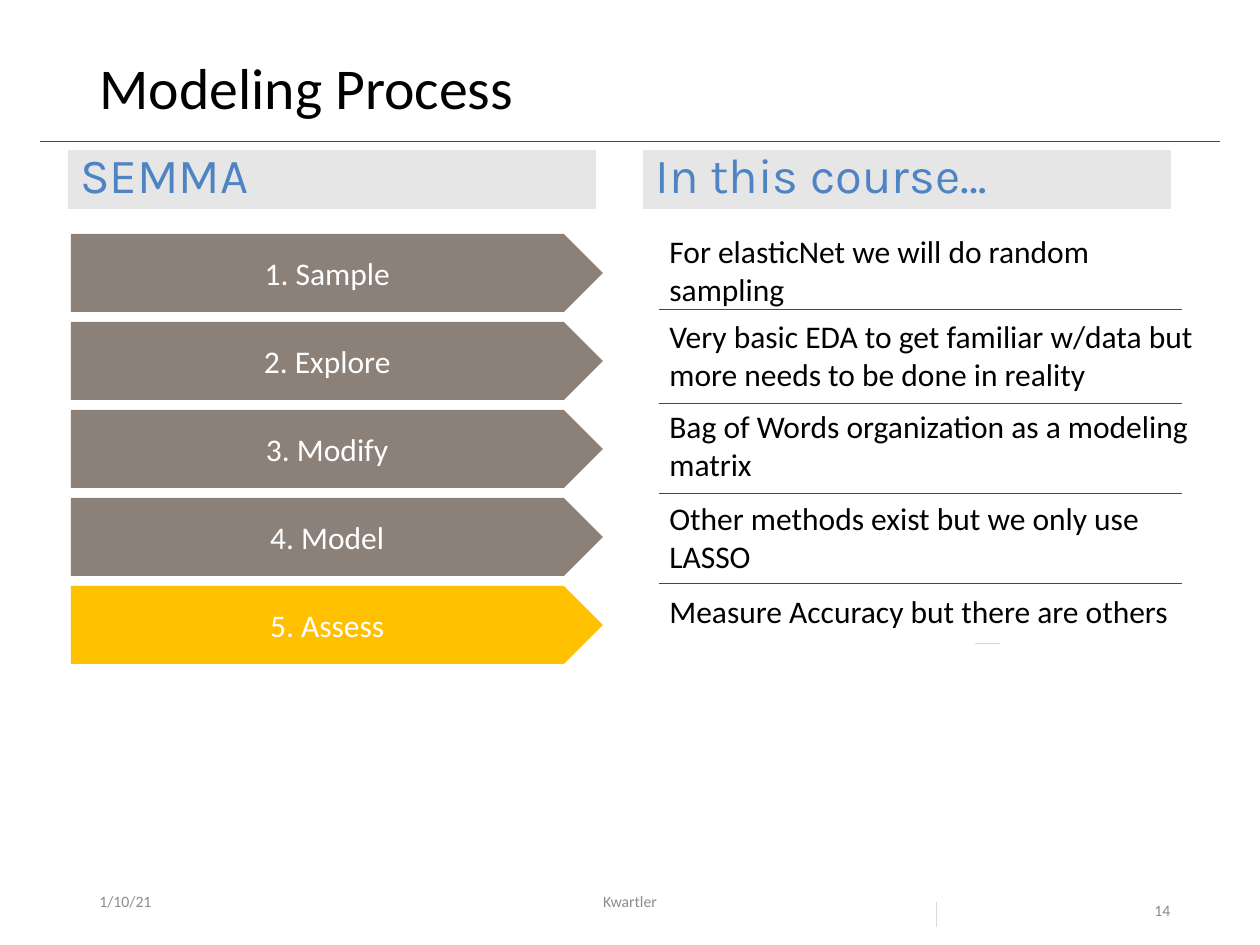
"""Build the Modeling Process slide: SEMMA steps beside the course notes."""
import pptx
import pptx.util
import pptx.dml.color
import pptx.enum.shapes
import pptx.enum.text
import pptx.oxml
import pptx.oxml.ns

PX = 914400 // 126
SHAPE = pptx.enum.shapes.MSO_SHAPE
ALIGN = pptx.enum.text.PP_ALIGN
ANCHOR = pptx.enum.text.MSO_ANCHOR
COLORS = {
    "black": "000000", "white": "FFFFFF", "grey": "8C8C8C", "taupe": "8C8179",
    "gold": "FFC000", "band": "E7E6E6", "blue": "4E84C4", "crimson": "A51C30",
    "pale": "D9D9D9",
}


def rgb(name):
    return pptx.dml.color.RGBColor.from_string(COLORS[name])


def write(sp, text, size, color, font="Calibri", align=ALIGN.LEFT, anchor=ANCHOR.TOP):
    tf = sp.text_frame
    tf.word_wrap = True
    tf.vertical_anchor = anchor
    tf.text = text
    p = tf.paragraphs[0]
    p.alignment = align
    p.font.size = pptx.util.Pt(size)
    p.font.name = font
    p.font.color.rgb = rgb(color)
    return p


prs = pptx.Presentation()
prs.slide_width = pptx.util.Inches(10)
prs.slide_height = pptx.util.Inches(7.5)
s = prs.slides.add_slide(prs.slide_layouts[5])

title = s.shapes.title
title.left, title.top, title.width, title.height = [v * PX for v in (87, 50, 1086, 82)]
p = write(title, "Modeling Process", 33, "black", anchor=ANCHOR.MIDDLE)
p.line_spacing = 0.9

lines = [
    (40, 141, 1220, 141, "crimson"),
    *[(659, y, 1182, y, "crimson") for y in (309, 404, 493, 583)],
    (936, 902, 936, 927, "pale"),
    (975, 643, 1000, 643, "pale"),
]
for x1, y1, x2, y2, color in lines:
    line = s.shapes.add_connector(
        pptx.enum.shapes.MSO_CONNECTOR.STRAIGHT, x1 * PX, y1 * PX, x2 * PX, y2 * PX)
    line.line.color.rgb = rgb(color)
    line.line.width = pptx.util.Pt(0.5)
    line._element.spPr.append(pptx.oxml.parse_xml(
        f'<a:effectLst {pptx.oxml.ns.nsdecls("a")}/>'))

blocks = [
    (SHAPE.RECTANGLE, x, 150, 528, 59, "band", text, 28, "blue", "Karla", ALIGN.LEFT, ANCHOR.MIDDLE)
    for x, text in ((68, "SEMMA"), (643, "In this course…"))
]
for i, step in enumerate(("Sample", "Explore", "Modify", "Model", "Assess")):
    fill = "gold" if step == "Assess" else "taupe"
    blocks.append((SHAPE.PENTAGON, 71, 234 + 88 * i, 532, 78, fill, f"{i + 1}. {step}",
                   18, "white", "Calibri", ALIGN.CENTER, ANCHOR.MIDDLE))
for kind, x, y, w, h, fill, text, size, color, font, align, anchor in blocks:
    sp = s.shapes.add_shape(kind, x * PX, y * PX, w * PX, h * PX)
    sp.shadow.inherit = False
    sp.fill.solid()
    sp.fill.fore_color.rgb = rgb(fill)
    sp.line.fill.background()
    p = write(sp, text, size, color, font, align, anchor)
    if kind == SHAPE.RECTANGLE:
        p.line_spacing = 0.8

notes = [
    (226, 527, "For elasticNet we will do random sampling"),
    (311, 602, "Very basic EDA to get familiar w/data but more needs to be done in reality"),
    (401, 573, "Bag of Words organization as a modeling matrix"),
    (493, 527, "Other methods exist but we only use LASSO"),
    (586, 527, "Measure Accuracy but there are others"),
]
for y, w, text in notes:
    h = 50 if text.startswith("Measure") else 89
    sp = s.shapes.add_textbox(657 * PX, y * PX, w * PX, h * PX)
    write(sp, text, 18, "black")

footers = [
    (87, 284, "1/10/21", ALIGN.LEFT, ANCHOR.MIDDLE, 1.0),
    (417, 426, "Kwartler", ALIGN.CENTER, ANCHOR.MIDDLE, 1.0),
    (1142, 118, "14", ALIGN.LEFT, ANCHOR.TOP, 2.0),
]
for x, w, text, align, anchor, spacing in footers:
    sp = s.shapes.add_textbox(x * PX, 876 * PX, w * PX, 50 * PX)
    p = write(sp, text, 9, "grey", align=align, anchor=anchor)
    p.line_spacing = spacing

prs.save("out.pptx")
